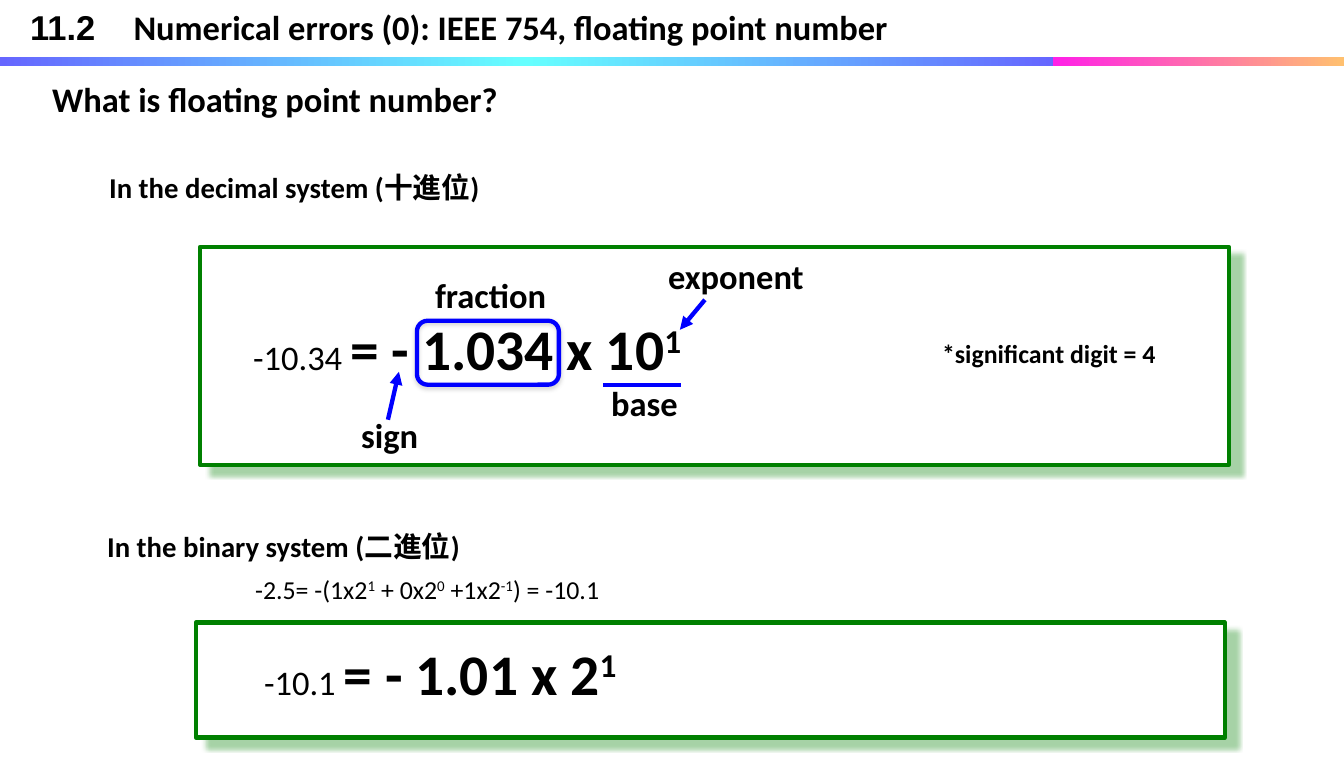
from lxml import etree
from pptx import Presentation
from pptx.dml.color import RGBColor
from pptx.enum.shapes import MSO_CONNECTOR, MSO_SHAPE
from pptx.oxml.ns import qn
from pptx.util import Emu, Pt

RECT = MSO_SHAPE.RECTANGLE
ROUNDED = MSO_SHAPE.ROUNDED_RECTANGLE
STRAIGHT = MSO_CONNECTOR.STRAIGHT
SCALE = 914400 / 103.4

COLORS = {
    "text": "000000", "paper": "FFFFFF", "green": "008000", "blue": "0000FF",
    "gray": "808080", "violet": "6666FF", "cyan": "66FFFF",
    "magenta": "FF00FF", "orange": "FFCC66",
}
SMALL = {"size": Pt(18), "bold": False}
NOTE = {"size": Pt(18), "bold": True}
SECTION = {"size": Pt(20), "bold": True}
VALUE = {"size": Pt(24), "bold": False}
LABEL = {"size": Pt(24), "bold": True}
FORMULA = {"size": Pt(40), "bold": True}
PANEL_SHADOW = {"color": "green", "alpha": 35, "blur": 3.1, "dist": 9.8, "angle": 38}
MARK_SHADOW = {"color": "gray", "alpha": 35, "blur": 3.1, "dist": 1.8, "angle": 90}


def px(*lengths):
    return [Emu(round(length * SCALE)) for length in lengths]


def rgb(name):
    return RGBColor.from_string(COLORS[name])


def add_child(parent, tag, **attributes):
    values = {key: str(value) for key, value in attributes.items()}
    return etree.SubElement(parent, qn(tag), values)


def add_color(parent, name):
    return add_child(parent, "a:srgbClr", val=COLORS[name])


def add_shadow(shape, color, alpha, blur, dist, angle):
    effects = shape._element.spPr.find(qn("a:effectLst"))
    shadow = add_child(effects, "a:outerShdw", blurRad=Pt(blur), dist=Pt(dist),
                       dir=angle * 60000, algn="ctr", rotWithShape=0)
    add_child(add_color(shadow, color), "a:alpha", val=alpha * 1000)


def add_outline(page, kind, box, color, shadow, fill=None):
    shape = page.shapes.add_shape(kind, *px(*box))
    shape.shadow.inherit = False
    if fill:
        shape.fill.solid()
        shape.fill.fore_color.rgb = rgb(fill)
    else:
        shape.fill.background()
    shape.line.color.rgb = rgb(color)
    shape.line.width = Pt(3)
    add_shadow(shape, **shadow)


def add_gradient_bar(page, box, names):
    bar = page.shapes.add_shape(RECT, *px(*box))
    bar.shadow.inherit = False
    bar.line.fill.background()
    bar.fill.gradient()
    bar.fill.gradient_angle = 0
    stops = bar._element.spPr.find(".//" + qn("a:gsLst"))
    for stop in list(stops):
        stops.remove(stop)
    for index, name in enumerate(names):
        position = 100000 * index // (len(names) - 1)
        add_color(add_child(stops, "a:gs", pos=position), name)


def add_text(page, box, *spans, wrap=False):
    frame = page.shapes.add_textbox(*px(*box)).text_frame
    frame.word_wrap = wrap
    para = frame.paragraphs[0]
    for text, style, *options in spans:
        span = para.add_run()
        span.text = text
        span.font.name = "Calibri"
        span.font.color.rgb = rgb("text")
        for key, value in style.items():
            setattr(span.font, key, value)
        if "arial" in options:
            span.font.name = "Arial"
        if "super" in options:
            span._r.get_or_add_rPr().set("baseline", "30000")


def add_line(page, left, top, start, end, arrow=False):
    line = page.shapes.add_connector(
        STRAIGHT, *px(left + start[0], top + start[1], left + end[0], top + end[1]))
    line.line.color.rgb = rgb("blue")
    line.line.width = Pt(3)
    if arrow:
        add_child(line._element.spPr.find(qn("a:ln")), "a:tailEnd", type="triangle")
    add_child(line._element.spPr, "a:effectLst")


def draw_header(page, left, top, width):
    add_gradient_bar(page, (left + 995, top + 57, 371, 9), ["magenta", "orange"])
    add_gradient_bar(page, (left, top + 57, 1053, 9), ["violet", "cyan", "violet"])
    add_text(page, (left + 20, top + 1, 1163, 52),
             ("11.2\t", LABEL, "arial"),
             ("Numerical errors (0): IEEE 754, floating point number", LABEL))
    add_text(page, (left + 42, top + 73, width - 42, 162),
             ("What is floating point number?", LABEL), wrap=True)


def draw_panel(page, box, formula_offset, value, product):
    left, top = box[:2]
    add_outline(page, RECT, box, "green", PANEL_SHADOW, fill="paper")
    add_text(page, (left + formula_offset[0], top + formula_offset[1], 597, 79),
             (value, VALUE), (product, FORMULA), ("1 ", FORMULA, "super"), wrap=True)


def draw_decimal(page, box):
    left, top = box[:2]
    draw_panel(page, box, (43, 61), "-10.34 ", "= - 1.034 x 10")
    add_text(page, (left - 101, top - 82, 405, 44),
             ("In the decimal system (十進位)", SECTION))
    add_line(page, left, top, (188, 173), (199, 125), arrow=True)
    add_line(page, left, top, (505, 53), (480, 83), arrow=True)
    add_line(page, left, top, (403, 138), (481, 138))
    frame = (left + 217, top + 74, 142, 64)
    add_outline(page, ROUNDED, frame, "blue", MARK_SHADOW)
    labels = [
        ("sign", 151, 162, 80), ("exponent", 458, 3, 160),
        ("base", 401, 130, 90), ("fraction", 225, 22, 140),
    ]
    for text, across, down, width in labels:
        add_text(page, (left + across, top + down, width, 52), (text, LABEL))
    add_text(page, (left + 732, top + 86, 236, 41), ("*significant digit = 4", NOTE))


def draw_binary(page, box):
    left, top = box[:2]
    add_text(page, (left - 99, top - 99, 388, 44),
             ("In the binary system (二進位)", SECTION))
    add_text(page, (left + 49, top - 54, 370, 41),
             ("-2.5= -(1x2", SMALL), ("1", SMALL, "super"),
             (" + 0x2", SMALL), ("0", SMALL, "super"),
             (" +1x2", SMALL), ("-1", SMALL, "super"), (") = -10.1 ", SMALL))
    draw_panel(page, box, (58, 10), "-10.1 ", "= - 1.01 x 2")


deck = Presentation()
deck.slide_width, deck.slide_height = Emu(13 * 914400), Emu(6858000)
page = deck.slides.add_slide(deck.slide_layouts[6])
draw_header(page, 0, 0, 1344)
draw_decimal(page, (200, 247, 1029, 218))
draw_binary(page, (196, 623, 1029, 115))
deck.save("out.pptx")
